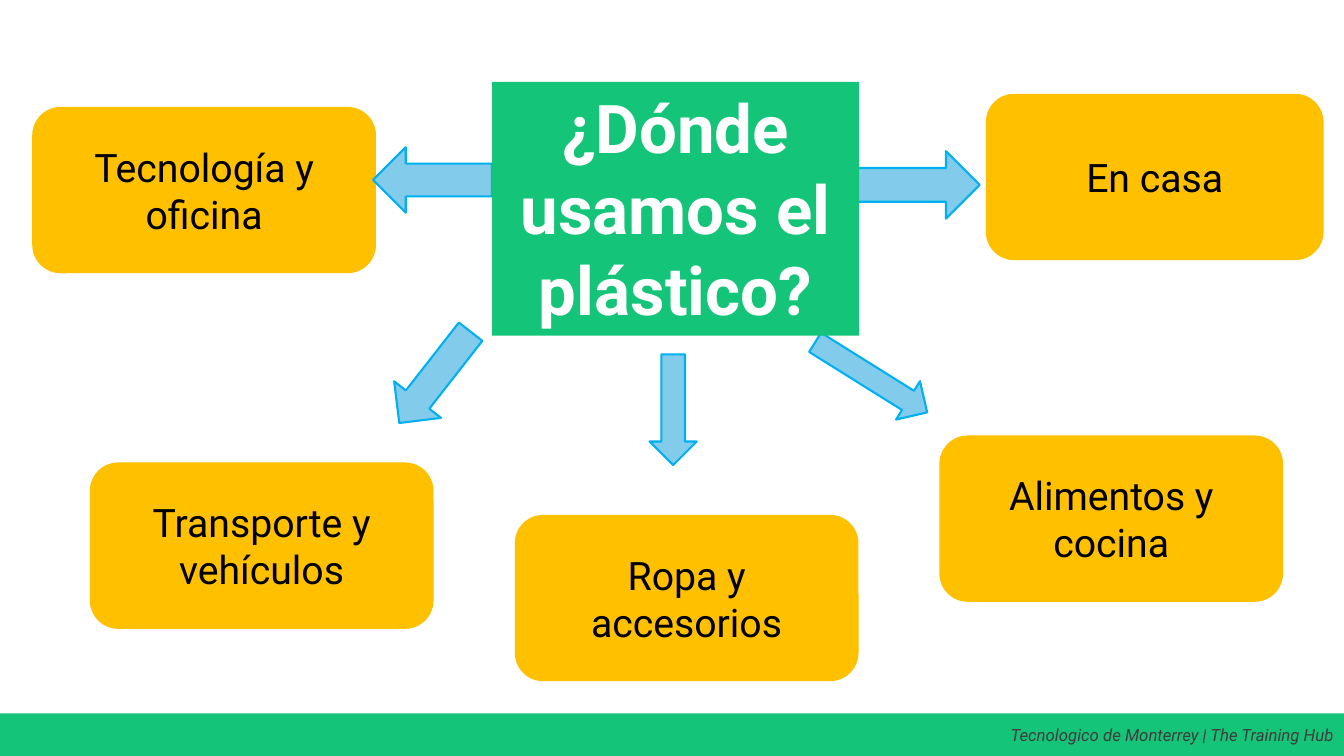
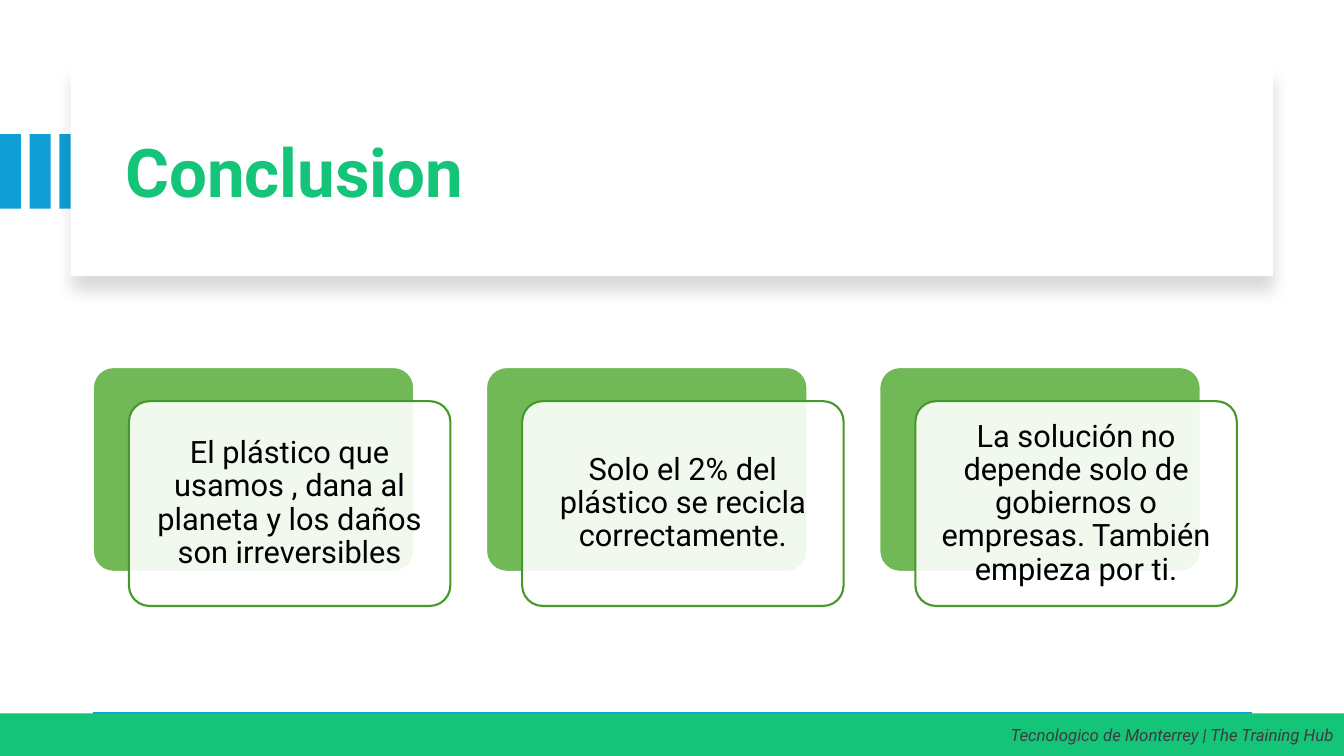
"""Build two slides about the uses of plastic and what to conclude from them."""
from dataclasses import dataclass

from lxml.etree import SubElement
from pptx import Presentation
from pptx.dml.color import RGBColor
from pptx.enum.shapes import MSO_CONNECTOR as Connector, MSO_SHAPE as Preset
from pptx.enum.text import MSO_ANCHOR as Anchor, MSO_AUTO_SIZE as AutoSize, PP_ALIGN as Align
from pptx.oxml.ns import qn
from pptx.shapes.autoshape import Shape
from pptx.shapes.shapetree import GroupShapes
from pptx.slide import Slide
from pptx.util import Cm, Pt

COLORS = {
    "green": "14C478", "amber": "FFC000", "sky": "83CBEB", "cyan": "00B0F0",
    "blue": "0F9ED5", "leaf": "4EA72E", "leaf_edge": "47982A",
    "white": "FFFFFF", "black": "000000", "gray": "3D3D3D",
}
FONT = "Roboto"
WIDTH, HEIGHT = 33.87, 19.05
FOOTER_TOP, FOOTER_HEIGHT = 17.98, 1.07


@dataclass(frozen=True)
class Area:
    left: float
    top: float
    width: float
    height: float


@dataclass(frozen=True)
class Topic:
    label: str
    area: Area


@dataclass(frozen=True)
class Arrow:
    area: Area
    rotation: float


TOPICS = (
    Topic("En casa", Area(24.87, 2.39, 8.46, 4.14)),
    Topic("Alimentos y cocina", Area(23.7, 11, 8.61, 4.14)),
    Topic("Ropa y accesorios", Area(13, 13, 8.61, 4.14)),
    Topic("Tecnología y oficina", Area(0.84, 2.72, 8.61, 4.14)),
    Topic("Transporte y vehículos", Area(2.29, 11.68, 8.61, 4.14)),
)
ARROWS = (
    Arrow(Area(20.27, 3.81, 4.42, 1.7), 0),
    Arrow(Area(9.5, 8.76, 2.92, 1.5), 128),
    Arrow(Area(9.4, 3.71, 3, 1.65), 180),
    Arrow(Area(20.29, 8.94, 3.33, 1.14), 32),
    Arrow(Area(15.57, 9.73, 2.79, 1.19), 90),
)
CONCLUSIONS = (
    "El plástico que usamos , dana al planeta y los daños son irreversibles",
    "Solo el 2% del plástico se recicla correctamente.",
    "La solución no depende solo de gobiernos o empresas. También empieza por ti.",
)


def color(name: str) -> RGBColor:
    return RGBColor.from_string(COLORS[name])


def add_box(shapes: GroupShapes, preset: Preset, area: Area, fill: str,
            line: str | None = None, opacity: int = 100) -> Shape:
    box = shapes.add_shape(preset, Cm(area.left), Cm(area.top), Cm(area.width), Cm(area.height))
    box.shadow.inherit = False
    box.fill.solid()
    box.fill.fore_color.rgb = color(fill)
    if opacity < 100:
        tint = box.element.spPr.find(qn("a:solidFill"))[0]
        SubElement(tint, qn("a:alpha"), val=str(opacity * 1000))
    if line:
        box.line.color.rgb = color(line)
        box.line.width = Pt(1.5)
    else:
        box.line.fill.background()
    return box


def write(box: Shape, text: str, size: float, ink: str, align: Align = Align.CENTER,
          anchor: Anchor = Anchor.MIDDLE, bold: bool = False, italic: bool = False,
          spacing: float = 1.0) -> None:
    frame = box.text_frame
    frame.word_wrap = True
    frame.vertical_anchor = anchor
    para = frame.paragraphs[0]
    para.alignment = align
    para.line_spacing = spacing
    span = para.add_run()
    span.text = text
    span.font.name = FONT
    span.font.size = Pt(size)
    span.font.bold = bold
    span.font.italic = italic
    span.font.color.rgb = color(ink)


def place_title(page: Slide, text: str, area: Area, ink: str, align: Align,
                anchor: Anchor, spacing: float) -> Shape:
    title = page.shapes.title
    title.left, title.top = Cm(area.left), Cm(area.top)
    title.width, title.height = Cm(area.width), Cm(area.height)
    title.text_frame.auto_size = AutoSize.NONE
    write(title, text, 48, ink, align, anchor, bold=True, spacing=spacing)
    title.element.getparent().append(title.element)
    return title


def add_footer(page: Slide) -> None:
    band = add_box(page.shapes, Preset.RECTANGLE,
                   Area(0, FOOTER_TOP, WIDTH, FOOTER_HEIGHT), "green")
    write(band, "Tecnologico de Monterrey | The Training Hub", 12, "gray", Align.RIGHT, italic=True)


def add_soft_shadow(box: Shape) -> None:
    effects = box.element.spPr.find(qn("a:effectLst"))
    shadow = SubElement(effects, qn("a:outerShdw"), blurRad=str(Pt(11)), dist=str(Pt(10)),
                        dir="5400000", algn="t", rotWithShape="0")
    tint = SubElement(shadow, qn("a:srgbClr"), val=COLORS["black"])
    SubElement(tint, qn("a:alpha"), val="15000")


def add_base_line(page: Slide) -> None:
    line = page.shapes.add_connector(Connector.STRAIGHT, Cm(31.55), Cm(18.01), Cm(2.34), Cm(18.01))
    line.line.color.rgb = color("blue")
    line.line.width = Pt(4.5)
    SubElement(line.element.spPr, qn("a:effectLst"))


def add_conclusion_card(shapes: GroupShapes, left: float, text: str) -> None:
    top, width, height = 9.25, 8.1, 5.16
    back = add_box(shapes, Preset.ROUNDED_RECTANGLE, Area(left, top, width, height),
                   "leaf", "white", 80)
    front = add_box(shapes, Preset.ROUNDED_RECTANGLE,
                    Area(left + 0.91, top + 0.86, width, height), "white", "leaf_edge", 90)
    for card in (back, front):
        card.adjustments[0] = 0.1
    frame = front.text_frame
    frame.margin_left = frame.margin_right = Cm(0.23)
    frame.margin_top = frame.margin_bottom = Cm(0.23)
    write(front, text, 22, "black", spacing=0.9)


def build_uses(page: Slide) -> None:
    for topic in TOPICS:
        box = add_box(page.shapes, Preset.ROUNDED_RECTANGLE, topic.area, "amber", "amber")
        write(box, topic.label, 28, "black")
    for arrow in ARROWS:
        pointer = add_box(page.shapes, Preset.RIGHT_ARROW, arrow.area, "sky", "cyan")
        pointer.rotation = arrow.rotation
    title = place_title(page, "¿Dónde usamos el plástico?", Area(12.4, 2.06, 9.25, 6.4),
                        "white", Align.CENTER, Anchor.TOP, 1.0)
    title.fill.solid()
    title.fill.fore_color.rgb = color("green")
    add_footer(page)


def build_conclusion(page: Slide) -> None:
    stripes = page.shapes.add_group_shape().shapes
    for index in range(3):
        add_box(stripes, Preset.RECTANGLE, Area(index * 0.75, 3.38, 0.53, 1.88), "blue")
    panel = add_box(page.shapes, Preset.RECTANGLE, Area(1.78, 1.7, 30.3, 5.26), "white")
    add_soft_shadow(panel)
    place_title(page, "Conclusion", Area(2.9, 2.26, 28.27, 4.32),
                "green", Align.LEFT, Anchor.MIDDLE, 0.9)
    add_base_line(page)
    cards = page.shapes.add_group_shape().shapes
    for index, text in enumerate(CONCLUSIONS):
        add_conclusion_card(cards, 2.34 + index * 9.91, text)
    add_footer(page)


def main() -> None:
    deck = Presentation()
    deck.slide_width, deck.slide_height = Cm(WIDTH), Cm(HEIGHT)
    title_only = deck.slide_layouts[5]
    for build in (build_uses, build_conclusion):
        build(deck.slides.add_slide(title_only))
    deck.save("out.pptx")


if __name__ == "__main__":
    main()
